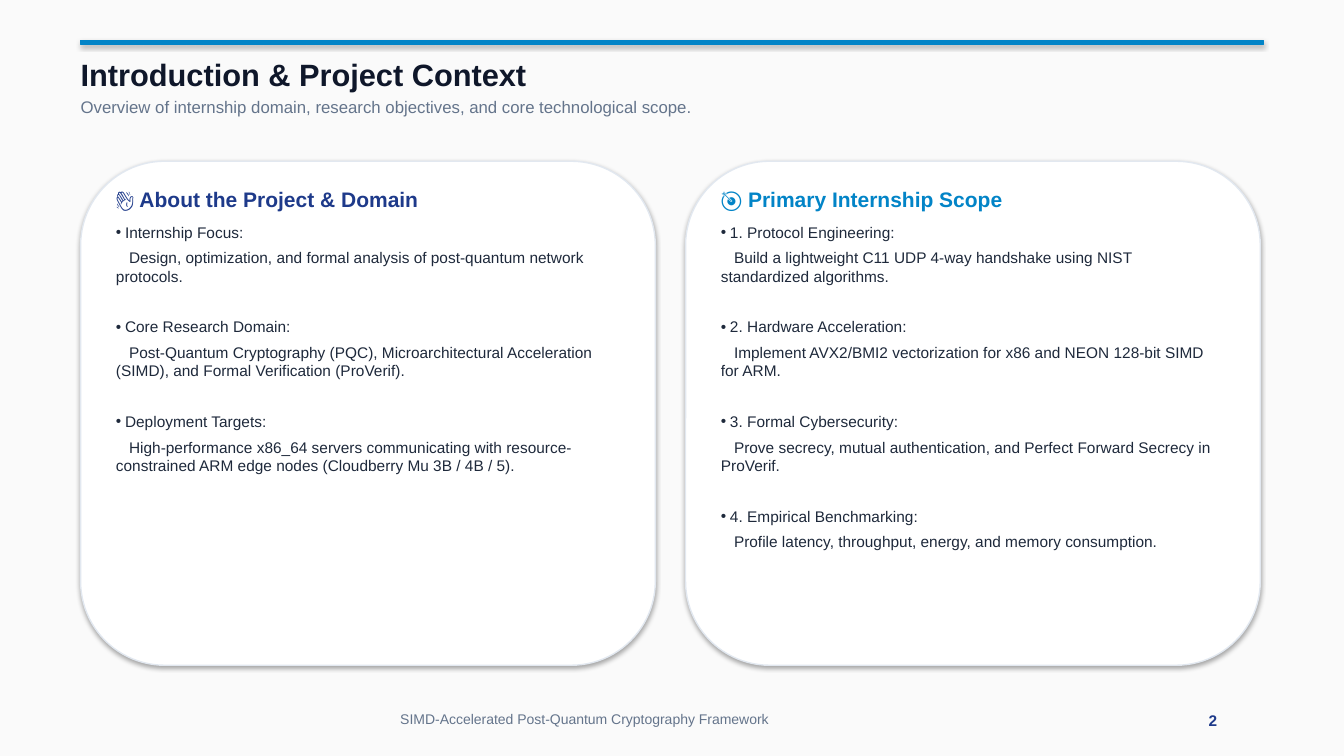
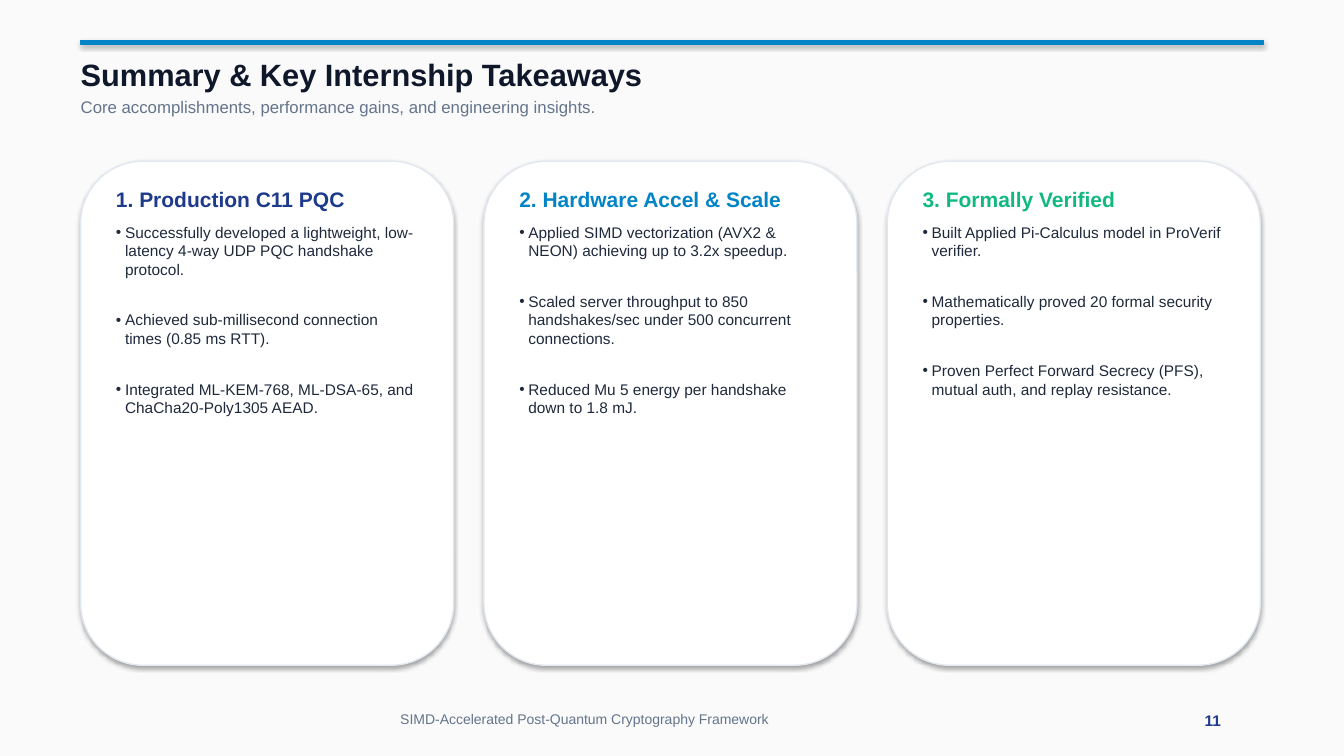
"""Builds two internship slides: project context and key takeaways."""
from lxml.etree import SubElement
from pptx import Presentation
from pptx.dml.color import RGBColor as Rgb
from pptx.enum.shapes import MSO_SHAPE as Shape
from pptx.enum.text import MSO_ANCHOR as Anchor, MSO_AUTO_SIZE as Fit, PP_ALIGN as Align
from pptx.oxml.ns import qn
from pptx.util import Pt

PX = 9144
FONT = "Arial"
HEX = {"page": "FAFAFA", "card": "FFFFFF", "edge": "E2E8F0", "title": "0F172A", "text": "1E293B",
       "mute": "64748B", "navy": "1E3A8A", "blue": "0284C7", "green": "10B981"}
TINTS = ["navy", "blue", "green"]
FOOT = "SIMD-Accelerated Post-Quantum Cryptography Framework"
TOP, LEFT, SPAN, GAP, TALL = 160, 80, 1170, 30, 500

DECK = [
    (2, "Introduction & Project Context",
     "Overview of internship domain, research objectives, and core technological scope.", [
         ("👋 About the Project & Domain", [
             ("Internship Focus:",
              "Design, optimization, and formal analysis of post-quantum network protocols."),
             ("Core Research Domain:",
              "Post-Quantum Cryptography (PQC), Microarchitectural Acceleration (SIMD), "
              "and Formal Verification (ProVerif)."),
             ("Deployment Targets:",
              "High-performance x86_64 servers communicating with resource-constrained ARM "
              "edge nodes (Cloudberry Mu 3B / 4B / 5)."),
         ]),
         ("🎯 Primary Internship Scope", [
             ("1. Protocol Engineering:",
              "Build a lightweight C11 UDP 4-way handshake using NIST standardized algorithms."),
             ("2. Hardware Acceleration:",
              "Implement AVX2/BMI2 vectorization for x86 and NEON 128-bit SIMD for ARM."),
             ("3. Formal Cybersecurity:",
              "Prove secrecy, mutual authentication, and Perfect Forward Secrecy in ProVerif."),
             ("4. Empirical Benchmarking:",
              "Profile latency, throughput, energy, and memory consumption."),
         ]),
     ]),
    (11, "Summary & Key Internship Takeaways",
     "Core accomplishments, performance gains, and engineering insights.", [
         ("1. Production C11 PQC", [
             ("Successfully developed a lightweight, low-latency 4-way UDP PQC handshake protocol.",),
             ("Achieved sub-millisecond connection times (0.85 ms RTT).",),
             ("Integrated ML-KEM-768, ML-DSA-65, and ChaCha20-Poly1305 AEAD.",),
         ]),
         ("2. Hardware Accel & Scale", [
             ("Applied SIMD vectorization (AVX2 & NEON) achieving up to 3.2x speedup.",),
             ("Scaled server throughput to 850 handshakes/sec under 500 concurrent connections.",),
             ("Reduced Mu 5 energy per handshake down to 1.8 mJ.",),
         ]),
         ("3. Formally Verified", [
             ("Built Applied Pi-Calculus model in ProVerif verifier.",),
             ("Mathematically proved 20 formal security properties.",),
             ("Proven Perfect Forward Secrecy (PFS), mutual auth, and replay resistance.",),
         ]),
     ]),
]


def place(box, x, y, w, h):
    """Move a text holder and strip its insets."""
    box.left, box.top, box.width, box.height = (v * PX for v in (x, y, w, h))
    frame = box.text_frame
    frame.margin_left = frame.margin_right = frame.margin_top = frame.margin_bottom = 0
    frame.word_wrap, frame.auto_size, frame.vertical_anchor = True, Fit.NONE, Anchor.TOP
    return frame


def write(frame, text, size, tint, bold=False, align=Align.LEFT, before=0, after=0,
          margin=0, indent=0, mark=None):
    """Fill the first paragraph if it is empty, else add one."""
    para = frame.paragraphs[0]
    if para.text:
        para = frame.add_paragraph()
    para.text = text
    props = para._p.get_or_add_pPr()
    props.set("marL", str(margin * PX))
    props.set("indent", str(indent * PX))
    if mark:
        SubElement(props, qn("a:buChar")).set("char", mark)
    else:
        SubElement(props, qn("a:buNone"))
    para.alignment = align
    para.space_before, para.space_after = Pt(before), Pt(after)
    font = para.font
    font.name, font.size, font.bold = FONT, Pt(size), bold
    font.color.rgb = Rgb.from_string(HEX[tint])


prs = Presentation()
prs.slide_width, prs.slide_height = 1333 * PX, 750 * PX
back = prs.slide_master.background.fill
back.solid()
back.fore_color.rgb = Rgb.from_string(HEX["page"])
layout = prs.slide_layouts.get_by_name("Comparison")

for num, title, sub, cards in DECK:
    slide = prs.slides.add_slide(layout)
    shapes = slide.shapes
    head, lead, *holds = slide.placeholders

    bar = shapes.add_shape(Shape.RECTANGLE, LEFT * PX, 40 * PX, 1173 * PX, 4 * PX)
    bar.fill.solid()
    bar.fill.fore_color.rgb = bar.line.color.rgb = Rgb.from_string(HEX["blue"])
    bar.line.width = Pt(0.75)

    write(place(head, LEFT, 55, 1173, 36), title, 22, "title", True)
    write(place(lead, LEFT, 96, 1173, 22), sub, 12, "mute")
    foot = shapes.add_textbox(0, 0, 0, 0)
    write(place(foot, 397, 705, 400, 18), FOOT, 10, "mute")
    page = shapes.add_textbox(0, 0, 0, 0)
    write(place(page, 1183, 705, 40, 18), str(num), 11, "navy", True, Align.CENTER)

    wide = (SPAN - GAP * (len(cards) - 1)) // len(cards)
    for i, (name, items) in enumerate(cards):
        x = LEFT + i * (wide + GAP)
        card = shapes.add_shape(Shape.ROUNDED_RECTANGLE, x * PX, TOP * PX, wide * PX, TALL * PX)
        card.fill.solid()
        card.fill.fore_color.rgb = Rgb.from_string(HEX["card"])
        card.line.color.rgb = Rgb.from_string(HEX["edge"])
        card.line.width = Pt(1)
        holds[i].element.addprevious(card.element)

        frame = place(holds[i], x + 35, TOP + 25, wide - 70, TALL - 50)
        write(frame, name, 15, TINTS[i], True, after=8)
        for j, (point, *notes) in enumerate(items):
            write(frame, point, 11, "text", before=18 if j else 0, after=5,
                  margin=9, indent=-9, mark="•")
            for note in notes:
                write(frame, note, 11, "text", after=5, indent=13)

    for spare in holds[len(cards):]:
        spare.element.getparent().remove(spare.element)

prs.save("out.pptx")
